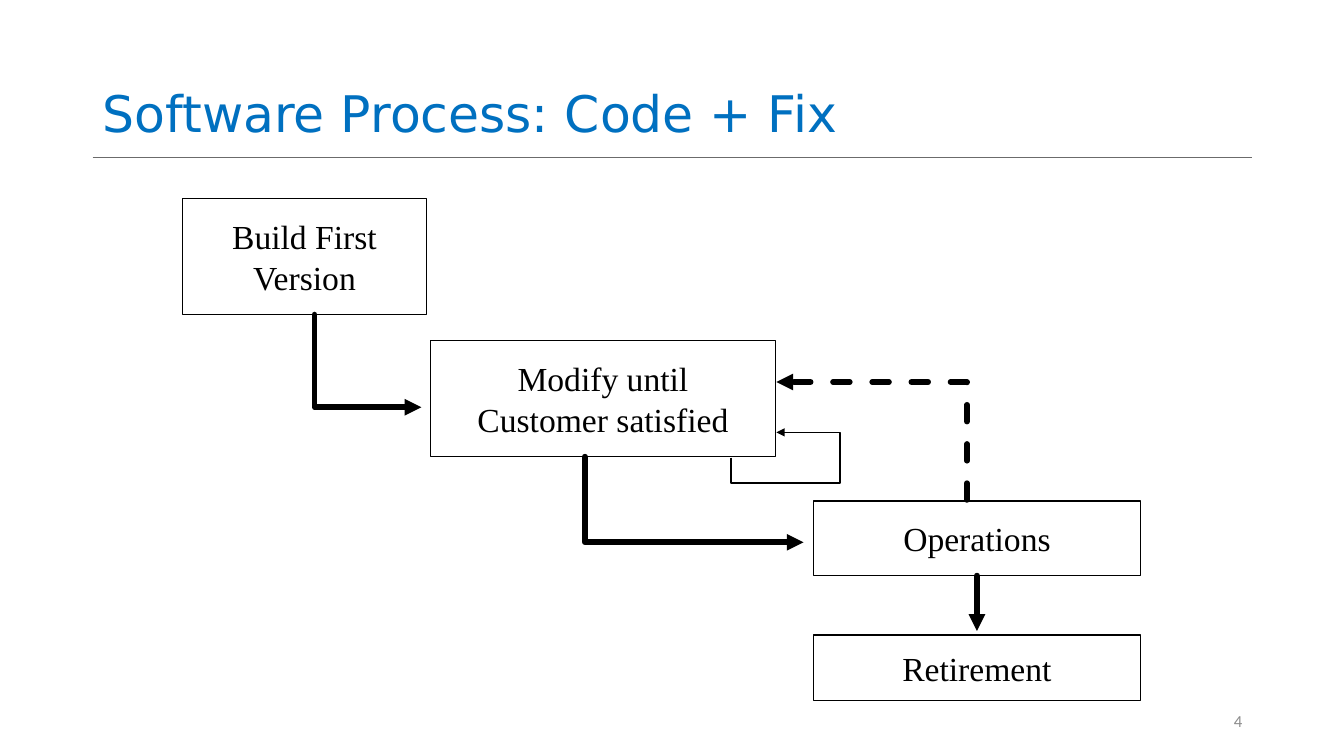
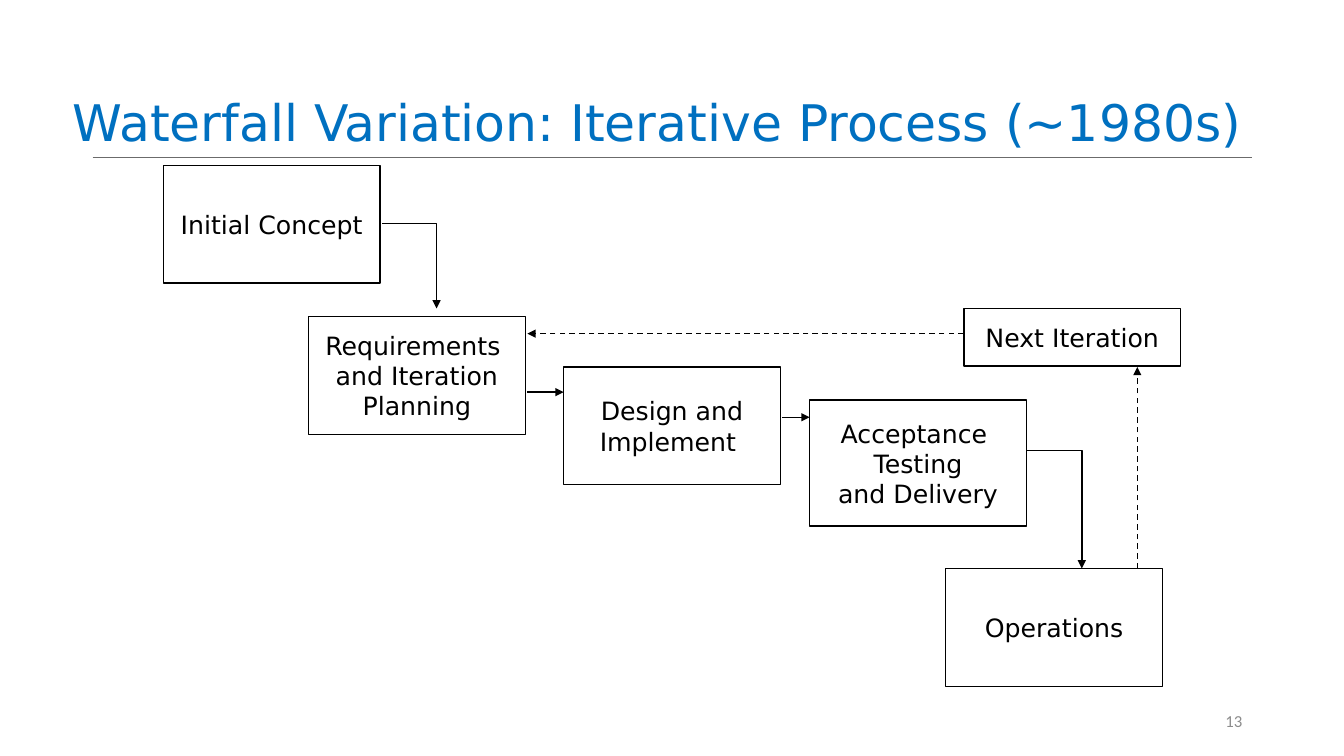
from dataclasses import dataclass

from lxml import etree
from pptx import Presentation
from pptx import util as u
from pptx.dml.color import RGBColor
from pptx.enum import dml, shapes, text
from pptx.oxml.ns import qn


@dataclass(frozen=True)
class Theme:
    title_color: str = "0070C0"
    ink: str = "000000"
    paper: str = "FFFFFF"
    rule: str = "6B6B6B"
    muted: str = "8C8C8C"
    sans: str = "DejaVu Sans"
    serif: str = "Times New Roman"
    number_font: str = "Calibri"
    title_size: int = 36
    large_label: int = 24
    small_label: int = 18
    number_size: int = 12
    hairline: float = 0.5
    thin: int = 1
    heavy: int = 4


THEME = Theme()
COLUMNS, ROWS = 13.33, 7.5  # grid cells are one inch square
CELL = u.Inches(1)


def cells(*lengths):
    return [u.Emu(round(length * CELL)) for length in lengths]


def assign(target, formats):
    for name, value in formats.items():
        setattr(target, name, value)


class Deck:
    def __init__(self, theme):
        self.theme = theme
        self.presentation = Presentation()
        width, height = cells(COLUMNS, ROWS)
        assign(self.presentation, {"slide_width": width, "slide_height": height})
        self.slide = None

    def new_slide(self, title, number, title_area):
        layout = self.presentation.slide_layouts.get_by_name("Title Only")
        self.slide = self.presentation.slides.add_slide(layout)
        theme = self.theme
        self.line((0.92, 1.56), (12.42, 1.56), theme.rule, theme.hairline)
        heading = self.slide.shapes.title
        assign(heading, dict(zip(("left", "top", "width", "height"), cells(*title_area))))
        self.set_text(heading, [title], theme.sans, theme.title_size, theme.title_color,
                      {"alignment": text.PP_ALIGN.LEFT, "line_spacing": 0.9},
                      {"vertical_anchor": text.MSO_ANCHOR.BOTTOM, "word_wrap": True})
        number_box = self.slide.shapes.add_textbox(*cells(9.42, 6.95, 3, 0.4))
        self.set_text(number_box, [str(number)], theme.number_font, theme.number_size,
                      theme.muted, {"alignment": text.PP_ALIGN.RIGHT},
                      {"vertical_anchor": text.MSO_ANCHOR.MIDDLE, "word_wrap": True})

    def set_text(self, shape, lines, font, size, color, paragraph_format, frame_format):
        frame = shape.text_frame
        frame.text = "\n".join(lines)
        assign(frame, {"auto_size": text.MSO_AUTO_SIZE.NONE, **frame_format})
        for paragraph in frame.paragraphs:
            assign(paragraph, paragraph_format)
            assign(paragraph.font, {"name": font, "size": u.Pt(size)})
            paragraph.font.color.rgb = RGBColor.from_string(color)

    def stroke(self, shape, color, weight, dashed=False):
        shape.line.color.rgb = RGBColor.from_string(color)
        shape.line.width = u.Pt(weight)
        if dashed:
            shape.line.dash_style = dml.MSO_LINE.DASH

    def box(self, area, lines, font, size):
        shape = self.slide.shapes.add_shape(shapes.MSO_SHAPE.RECTANGLE, *cells(*area))
        shape.shadow.inherit = False
        shape.fill.solid()
        shape.fill.fore_color.rgb = RGBColor.from_string(self.theme.paper)
        self.stroke(shape, self.theme.ink, self.theme.thin)
        self.set_text(shape, lines, font, size, self.theme.ink,
                      {"alignment": text.PP_ALIGN.CENTER},
                      {"vertical_anchor": text.MSO_ANCHOR.MIDDLE, "word_wrap": False})
        return shape

    def line(self, start, end, color, weight, dashed=False):
        connector = self.slide.shapes.add_connector(
            shapes.MSO_CONNECTOR.STRAIGHT, *cells(*start, *end))
        self.stroke(connector, color, weight, dashed)
        etree.SubElement(connector.element.spPr, qn("a:effectLst"))
        return connector

    def bent_line(self, points, color, weight, dashed):
        first, *rest = [cells(*point) for point in points]
        builder = self.slide.shapes.build_freeform(*first, scale=1.0)
        builder.add_line_segments(rest, close=False)
        shape = builder.convert_to_shape()
        shape.shadow.inherit = False
        shape.fill.background()
        self.stroke(shape, color, weight, dashed)
        return shape

    def arrow(self, *points, weight=None, dashed=False):
        """Draw an arrow through the points, with its head at the last one."""
        style = (self.theme.ink, weight or self.theme.thin, dashed)
        shape = self.line(*points, *style) if len(points) == 2 else self.bent_line(points, *style)
        outline = shape.element.spPr.find(qn("a:ln"))
        if weight == self.theme.heavy:
            outline.set("cap", "rnd")
        etree.SubElement(outline, qn("a:round"))
        etree.SubElement(outline, qn("a:tailEnd"), type="triangle")
        return shape


def code_and_fix(deck):
    deck.new_slide("Software Process: Code + Fix", 4, (0.92, 0.02, 11.5, 1.45))
    theme = deck.theme
    heavy = theme.heavy
    stages = [
        ((1.81, 1.97, 2.42, 1.15), ["Build First", "Version"]),
        ((4.27, 3.38, 3.42, 1.15), ["Modify until", "Customer satisfied"]),
        ((8.07, 6.3, 3.24, 0.65), ["Retirement"]),
        ((8.07, 4.97, 3.24, 0.74), ["Operations"]),
    ]
    for area, lines in stages:
        last_box = deck.box(area, lines, theme.serif, theme.large_label)
    deck.arrow((3.12, 3.12), (3.12, 4.04), (4.18, 4.04), weight=heavy)
    deck.arrow((5.8, 4.53), (5.8, 5.38), (7.97, 5.38), weight=heavy)
    to_retirement = deck.arrow((9.69, 5.71), (9.69, 6.26), weight=heavy)
    to_retirement.begin_connect(last_box, 2)
    deck.arrow((7.25, 4.54), (7.25, 4.79), (8.33, 4.79), (8.33, 4.29), (7.7, 4.29))
    deck.arrow((9.59, 4.96), (9.59, 3.79), (7.7, 3.79), weight=heavy, dashed=True)


def iterative_process(deck):
    deck.new_slide("Waterfall Variation: Iterative Process (~1980s)", 13,
                   (0.62, 0.11, 12.1, 1.45))
    theme = deck.theme
    width, height = 2.15, 1.17
    stages = [
        (1.62, 1.64, height, ["Initial Concept"]),
        (3.06, 3.14, height, ["Requirements ", "and Iteration", "Planning"]),
        (5.59, 3.64, height, ["Design and", "Implement "]),
        (8.03, 3.97, 1.25, ["Acceptance ", "Testing", "and Delivery"]),
        (9.38, 5.64, height, ["Operations"]),
        (9.56, 3.06, 0.57, ["Next Iteration"]),
    ]
    for left, top, stage_height, lines in stages:
        deck.box((left, top, width, stage_height), lines, theme.sans, theme.small_label)
    deck.arrow((3.79, 2.22), (4.33, 2.22), (4.33, 3.06))
    deck.arrow((5.23, 3.89), (5.59, 3.89))
    deck.arrow((7.76, 4.14), (8.03, 4.14))
    deck.arrow((10.19, 4.47), (10.73, 4.47), (10.73, 5.64))
    deck.arrow((11.28, 5.64), (11.28, 3.64), dashed=True)
    deck.arrow((9.56, 3.31), (5.23, 3.31), dashed=True)


def main():
    deck = Deck(THEME)
    code_and_fix(deck)
    iterative_process(deck)
    deck.presentation.save("out.pptx")


if __name__ == "__main__":
    main()
